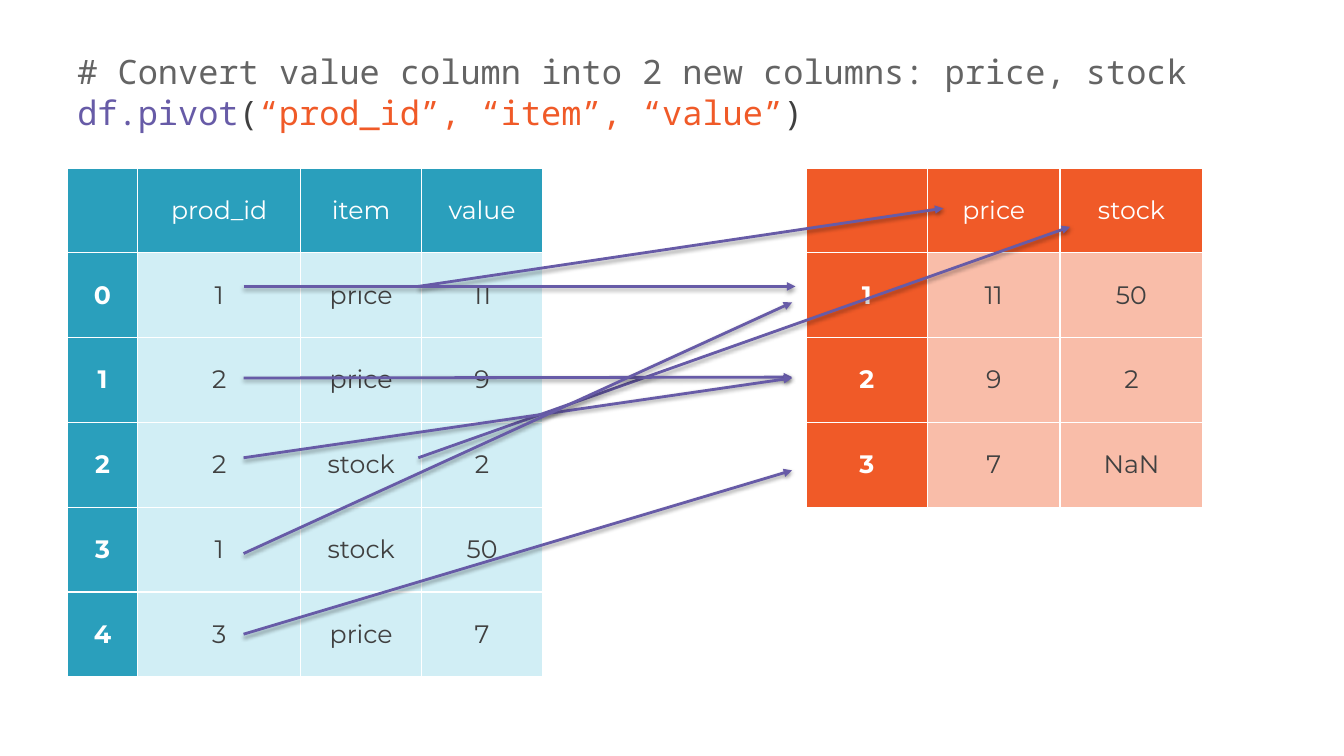
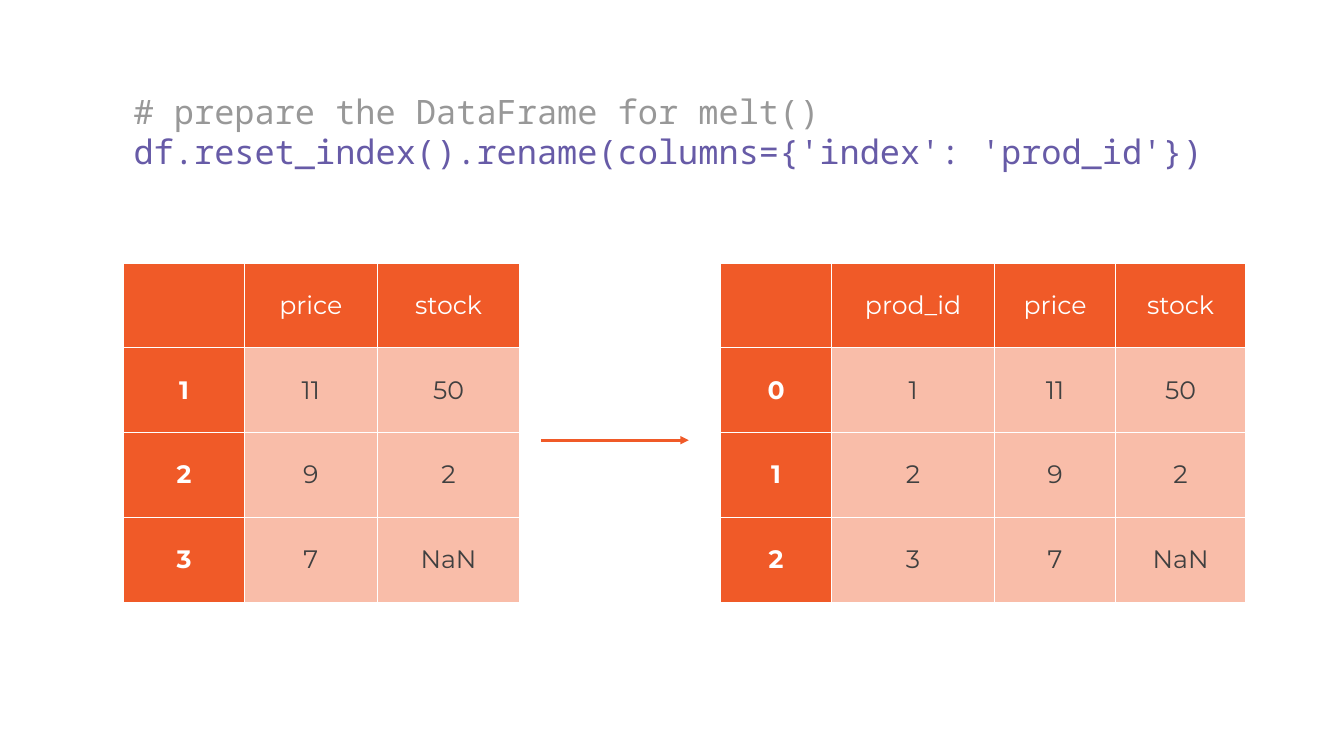
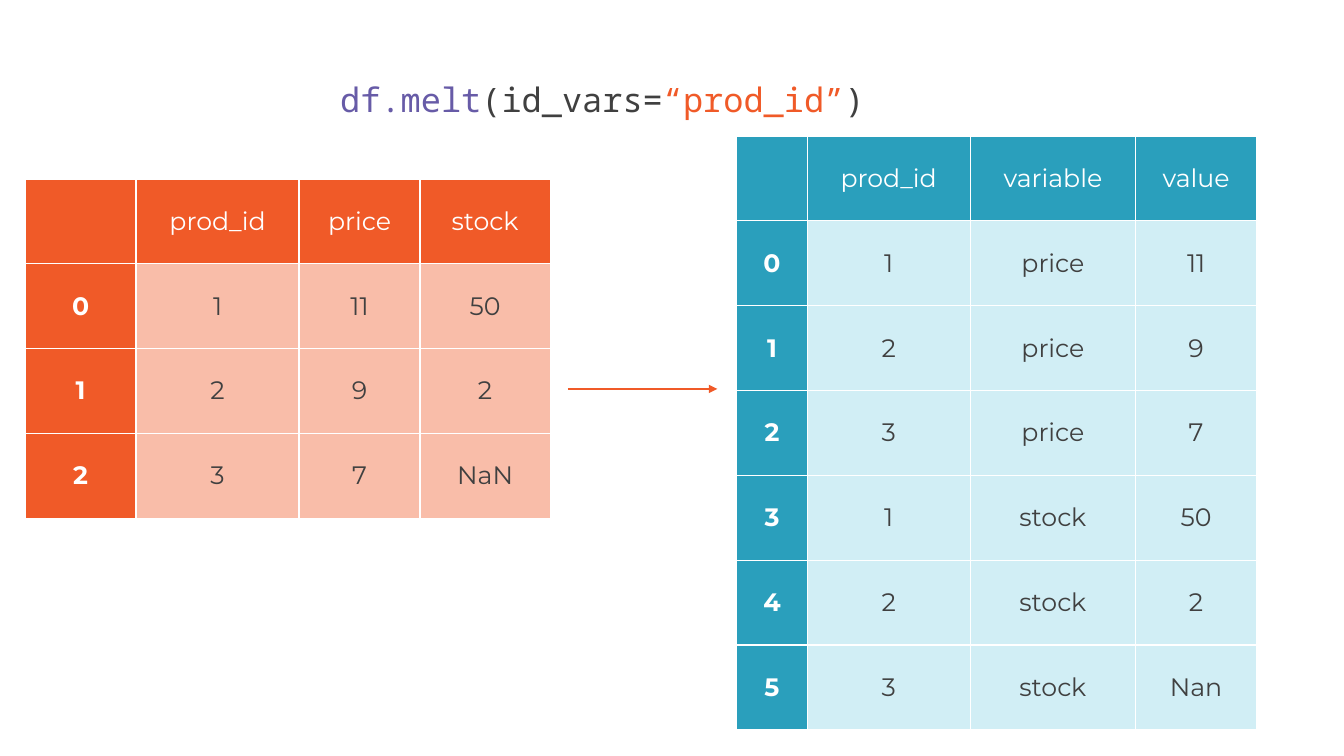
from dataclasses import dataclass
from lxml.etree import SubElement
from pptx import Presentation
from pptx.dml.color import RGBColor
from pptx.enum.shapes import MSO_CONNECTOR
from pptx.enum.text import MSO_ANCHOR, MSO_AUTO_SIZE, PP_ALIGN
from pptx.oxml import parse_xml
from pptx.oxml.ns import nsdecls, qn
from pptx.util import Inches, Pt


@dataclass(frozen=True)
class Theme:
    white: str = "FFFFFF"
    ink: str = "404040"
    comment: str = "646464"
    pale_comment: str = "989898"
    purple: str = "675BA7"
    orange: str = "F05A28"
    peach: str = "F9BDA9"
    teal: str = "2A9FBC"
    ice: str = "D1EEF5"
    code_font: str = "Noto Sans Mono"
    cell_font: str = "Montserrat"
    code_size: int = 24
    cell_size: int = 18
    rule: int = 1
    arrow: int = 2


T = Theme()
WARM = (T.orange, T.peach)
COOL = (T.teal, T.ice)
WIDTH, HEIGHT = 13.33, 7.5
COLUMNS, ROWS = 160, 90
ROW = 10.1

PIVOTED = [
    ["", "price", "stock"],
    ["1", "11", "50"],
    ["2", "9", "2"],
    ["3", "7", "NaN"],
]
PIVOTED_WIDTHS = [14.4, 15.8, 17]
RESET = [["", "prod_id", "price", "stock"]] + [
    [str(i), *row] for i, row in enumerate(PIVOTED[1:])
]
RESET_WIDTHS = [13.2, 19.4, 14.4, 15.5]
LONG = [
    ["", "prod_id", "item", "value"],
    ["0", "1", "price", "11"],
    ["1", "2", "price", "9"],
    ["2", "2", "stock", "2"],
    ["3", "1", "stock", "50"],
    ["4", "3", "price", "7"],
]
MELTED = [
    ["", "prod_id", "variable", "value"],
    ["0", "1", "price", "11"],
    ["1", "2", "price", "9"],
    ["2", "3", "price", "7"],
    ["3", "1", "stock", "50"],
    ["4", "2", "stock", "2"],
    ["5", "3", "stock", "Nan"],
]


def X(columns):
    return Inches(columns * WIDTH / COLUMNS)


def Y(rows):
    return Inches(rows * HEIGHT / ROWS)


def add_text(p, text, font=T.code_font, size=T.code_size, color=T.ink, bold=False):
    r = p.add_run()
    r.text = text
    r.font.name = font
    r.font.size = Pt(size)
    r.font.bold = bold
    r.font.color.rgb = RGBColor.from_string(color)


class Deck:
    def __init__(self):
        self.prs = Presentation()
        self.prs.slide_width = Inches(WIDTH)
        self.prs.slide_height = Inches(HEIGHT)
        self.s = None

    def slide(self):
        self.s = self.prs.slides.add_slide(self.prs.slide_layouts[5])

    def code(self, x, y, w, h, lines):
        sp = self.s.shapes.title
        sp.left, sp.top, sp.width, sp.height = X(x), Y(y), X(w), Y(h)
        tf = sp.text_frame
        tf.word_wrap = False
        tf.auto_size = MSO_AUTO_SIZE.SHAPE_TO_FIT_TEXT
        tf.vertical_anchor = MSO_ANCHOR.TOP
        for i, line in enumerate(lines):
            p = tf.add_paragraph() if i else tf.paragraphs[0]
            p.alignment = PP_ALIGN.LEFT
            for text, color in line:
                add_text(p, text, color=color)

    def table(self, x, y, widths, data, colors):
        head, body = colors
        frame = self.s.shapes.add_table(
            len(data), len(widths), X(x), Y(y), X(sum(widths)), Y(ROW * len(data))
        )
        tbl = frame.table
        tbl.first_col = True
        tbl.horz_banding = False
        for column, width in zip(tbl.columns, widths):
            column.width = X(width)
        for i, values in enumerate(data):
            tbl.rows[i].height = Y(ROW)
            for j, value in enumerate(values):
                edge = i == 0 or j == 0
                self.cell(
                    tbl.cell(i, j),
                    value,
                    head if edge else body,
                    color=T.white if edge else T.ink,
                    bold=i > 0 and j == 0,
                )

    def cell(self, cell, value, fill, **style):
        tcPr = cell._tc.get_or_add_tcPr()
        for side in "LRTB":
            ln = SubElement(tcPr, qn(f"a:ln{side}"), w=str(Pt(T.rule)))
            paint = SubElement(ln, qn("a:solidFill"))
            SubElement(paint, qn("a:srgbClr"), val=T.white)
        cell.fill.solid()
        cell.fill.fore_color.rgb = RGBColor.from_string(fill)
        cell.vertical_anchor = MSO_ANCHOR.MIDDLE
        p = cell.text_frame.paragraphs[0]
        p.alignment = PP_ALIGN.CENTER
        if value:
            add_text(p, value, font=T.cell_font, size=T.cell_size, **style)

    def arrow(self, x1, y1, x2, y2, color=T.orange, shadow=False):
        cxn = self.s.shapes.add_connector(
            MSO_CONNECTOR.STRAIGHT, X(x1), Y(y1), X(x2), Y(y2)
        )
        cxn.line.width = Pt(T.arrow)
        cxn.line.color.rgb = RGBColor.from_string(color)
        SubElement(cxn.line._get_or_add_ln(), qn("a:tailEnd"), type="triangle")
        effects = parse_xml(f"<a:effectLst {nsdecls('a')}/>")
        if shadow:
            outer = SubElement(
                effects,
                qn("a:outerShdw"),
                blurRad=str(Pt(3.1)),
                dist=str(Pt(1.6)),
                dir="5400000",
                rotWithShape="0",
            )
            black = SubElement(outer, qn("a:srgbClr"), val="000000")
            SubElement(black, qn("a:alpha"), val="38000")
        cxn._element.spPr.append(effects)


def pivot_slide(deck):
    deck.slide()
    deck.code(8, 5.5, 135.5, 10.9, [
        [("# Convert value column into 2 new columns: price, stock", T.comment)],
        [
            ("df.pivot", T.purple),
            ("(", T.ink),
            ("“prod_id”, “item”, “value”", T.orange),
            (")", T.ink),
        ],
    ])
    deck.table(8, 20, [8.4, 19.4, 14.4, 14.4], LONG, COOL)
    deck.table(96, 20, PIVOTED_WIDTHS, PIVOTED, WARM)
    item, prod_id, index = 49.8, 29, 94.3
    for ends in (
        (item, 34.1, 112.3, 24.8),
        (item, 54.5, 127.4, 27),
        (prod_id, 34.1, 94.7, 34.1),
        (prod_id, 45, index, 44.9),
        (prod_id, 75.5, index, 56),
        (prod_id, 54.5, index, 45),
        (prod_id, 65.9, index, 36),
    ):
        deck.arrow(*ends, color=T.purple, shadow=True)


def reset_slide(deck):
    deck.slide()
    deck.code(14.7, 10.2, 130.7, 10.9, [
        [("# prepare the DataFrame for melt()", T.pale_comment)],
        [("df.reset_index().rename(columns={'index': 'prod_id'})", T.purple)],
    ])
    deck.table(14.7, 31.3, PIVOTED_WIDTHS, PIVOTED, WARM)
    deck.table(85.8, 31.3, RESET_WIDTHS, RESET, WARM)
    deck.arrow(64.4, 52.4, 82, 52.4)


def melt_slide(deck):
    deck.slide()
    deck.code(39.3, 8.8, 65.3, 6, [
        [
            ("df.melt", T.purple),
            ("(id_vars=", T.ink),
            ("“prod_id”", T.orange),
            (")", T.ink),
        ],
    ])
    deck.table(3, 21.3, RESET_WIDTHS, RESET, WARM)
    deck.table(87.7, 16.2, [8.4, 19.4, 19.7, 14.4], MELTED, COOL)
    deck.arrow(67.6, 46.3, 85.4, 46.3)


def main():
    deck = Deck()
    pivot_slide(deck)
    reset_slide(deck)
    melt_slide(deck)
    deck.prs.save("out.pptx")


if __name__ == "__main__":
    main()
